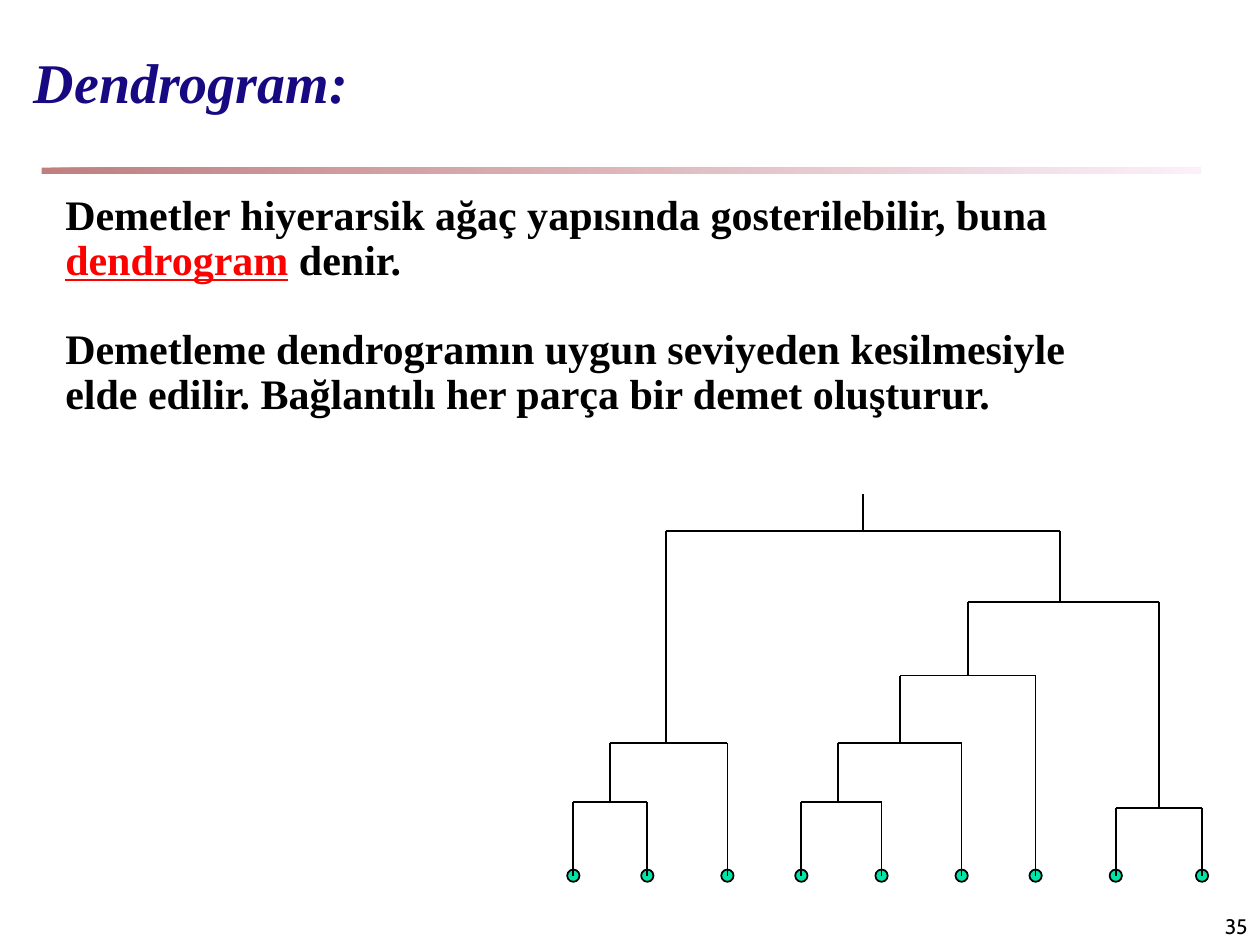
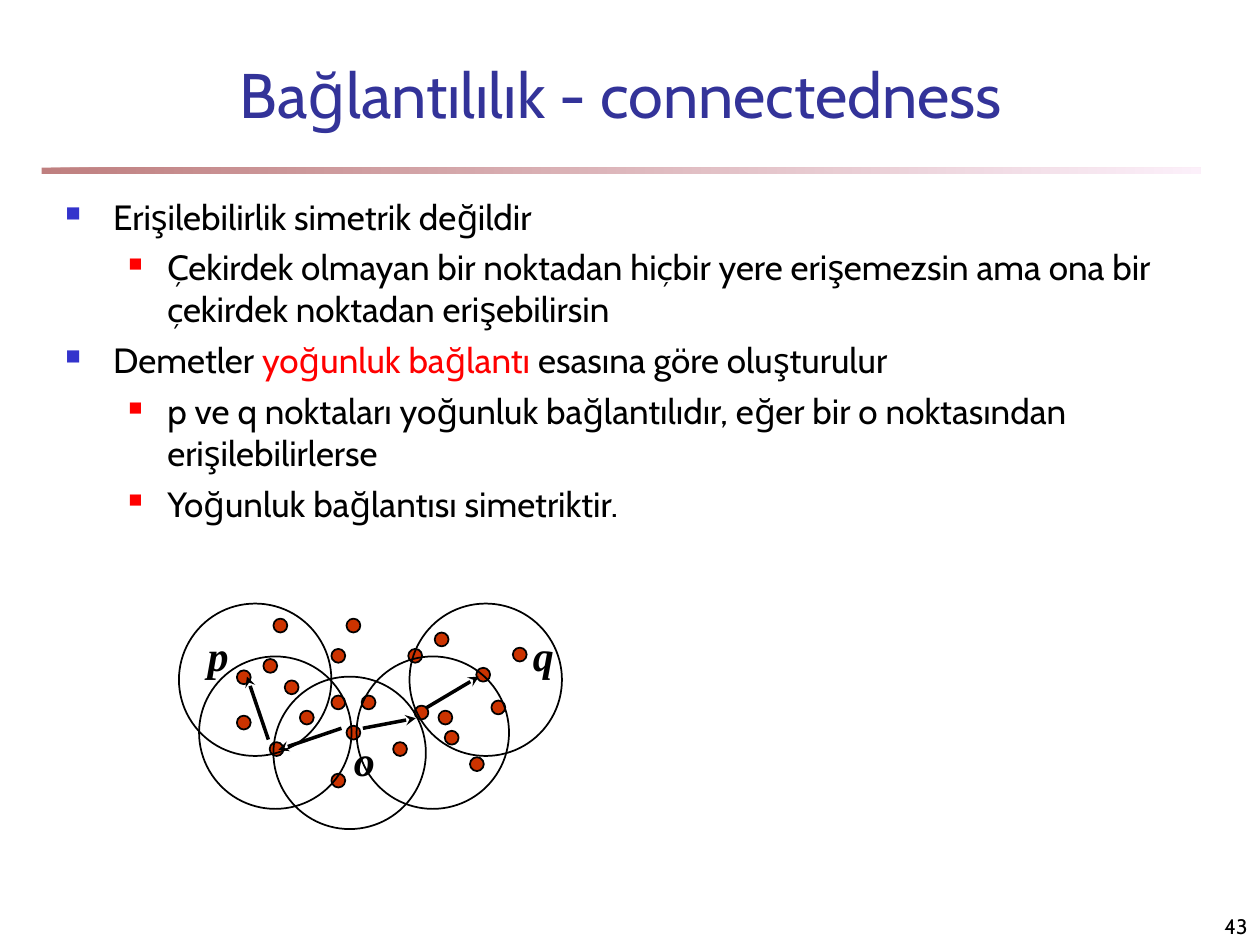
from dataclasses import dataclass

import lxml.etree
import pptx
import pptx.dml.color
import pptx.enum.shapes
import pptx.enum.text
import pptx.oxml.ns
import pptx.util

Inches, Pt = pptx.util.Inches, pptx.util.Pt
MSO = pptx.enum.shapes.MSO_SHAPE
ALIGN = pptx.enum.text.PP_ALIGN
ANCHOR = pptx.enum.text.MSO_ANCHOR


class Theme:
    sans, serif = "Cabin", "Times New Roman"
    black, red = "000000", "FF0000"
    navy, indigo = "170981", "333399"
    bullets = [("3333CC", 60, 0.38, -0.38), ("FF0000", 55, 0.81, -0.31)]
    band = ("800000", "FAE2F6")
    leaf, point = "00E4A8", "CC3300"
    title, heading, large, body, small = 36, 32, 24, 20, 12
    thin, thick = 1, 2


@dataclass
class Grid:
    """A box in inches, divided into columns and rows."""
    x: float
    y: float
    w: float
    h: float
    cols: int
    rows: int

    def at(self, col, row):
        return (Inches(self.x + self.w * col / self.cols),
                Inches(self.y + self.h * row / self.rows))

    def box(self, col, row, cols, rows):
        return (*self.at(col, row), Inches(self.w * cols / self.cols),
                Inches(self.h * rows / self.rows))

    def sub(self, area, cols, rows):
        """The given area of this grid, with a grid of its own."""
        return Grid(*(v / Inches(1) for v in self.box(*area)), cols, rows)


PAGE = Grid(0, 0, 10, 7.5, 100, 75)


def rgb(color):
    return pptx.dml.color.RGBColor.from_string(color)


def add_xml(parent, tag, **attrs):
    return lxml.etree.SubElement(parent, pptx.oxml.ns.qn(tag), attrs)


def add_text_box(sl, box, anchor=ANCHOR.TOP):
    tf = sl.shapes.add_textbox(*box).text_frame
    tf.word_wrap = True
    tf.vertical_anchor = anchor
    return tf


def add_run(p, text, size, color=Theme.black, font=Theme.sans,
            bold=False, italic=False, underline=False):
    r = p.add_run()
    r.text = text
    f = r.font
    f.name, f.size, f.color.rgb = font, Pt(size), rgb(color)
    f.bold, f.italic, f.underline = bold, italic, underline


def next_paragraph(tf, before):
    """The first, empty paragraph of a box, or a new one with space before it."""
    p = tf.paragraphs[0]
    if p.runs:
        p = tf.add_paragraph()
        p.space_before = Pt(before)
    return p


def set_indent(p, left, first=0):
    pPr = p._p.get_or_add_pPr()
    pPr.set("marL", str(Inches(left)))
    pPr.set("indent", str(Inches(first)))
    return pPr


def add_oval(sl, box, fill=None):
    sp = sl.shapes.add_shape(MSO.OVAL, *box)
    sp.shadow.inherit = False
    if fill:
        sp.fill.solid()
        sp.fill.fore_color.rgb = rgb(fill)
    else:
        sp.fill.background()
    sp.line.color.rgb = rgb(Theme.black)
    sp.line.width = Pt(Theme.thin)


def add_line(sl, start, end, width=Theme.thin, arrow=False):
    """A black line; an arrow has its point at the start."""
    cx = sl.shapes.add_connector(pptx.enum.shapes.MSO_CONNECTOR.STRAIGHT, *start, *end)
    cx.line.color.rgb = rgb(Theme.black)
    cx.line.width = Pt(width)
    if arrow:
        add_xml(cx.line._get_or_add_ln(), "a:headEnd", type="stealth")
    add_xml(cx._element.spPr, "a:effectLst")


def new_slide(prs, number):
    """A slide with the band under the title and the page number."""
    sl = prs.slides.add_slide(prs.slide_layouts[6])
    sp = sl.shapes.add_shape(MSO.RECTANGLE, *PAGE.box(3.3, 13.3, 92, 0.5))
    sp.shadow.inherit = False
    sp.line.fill.background()
    sp.fill.gradient()
    sp.fill.gradient_angle = 0
    for stop, color in zip(sp.fill.gradient_stops, Theme.band):
        stop.color.rgb = rgb(color)
    for clr in sp._element.spPr.iter(pptx.oxml.ns.qn("a:srgbClr")):
        add_xml(clr, "a:alpha", val="50000")

    p = add_text_box(sl, PAGE.box(79.2, 70.8, 20.8, 4.2), ANCHOR.BOTTOM).paragraphs[0]
    p.alignment = ALIGN.RIGHT
    add_run(p, str(number), Theme.small)
    return sl


def add_statements(sl, box, statements):
    tf = add_text_box(sl, box)
    for runs in statements:
        p = next_paragraph(tf, before=25)
        p.level = 1
        p.line_spacing = 0.9
        set_indent(p, 0.5)
        for text, style in runs:
            add_run(p, text, Theme.large, font=Theme.serif, bold=True, **style)


def add_bullets(sl, box, items):
    tf = add_text_box(sl, box)
    for level, runs in items:
        color, percent, left, first = Theme.bullets[level]
        p = next_paragraph(tf, before=5)
        p.level = level
        pPr = set_indent(p, left, first)
        add_xml(add_xml(pPr, "a:buClr"), "a:srgbClr", val=color)
        add_xml(pPr, "a:buSzPct", val=str(percent * 1000))
        add_xml(pPr, "a:buChar", char="■")
        for text, style in runs:
            add_run(p, text, Theme.body, **style)


def add_dendrogram(sl, grid, tree):
    """Draw a tree of (height, left, right) merges; a leaf is its column."""
    def leaves(node):
        return [node] if isinstance(node, int) else leaves(node[1]) + leaves(node[2])

    def point(col, height):
        return grid.at(col, grid.rows - height)

    def add_branch(node):
        if isinstance(node, int):
            return node, 0
        height, *children = node
        ends = [add_branch(child) for child in children]
        for col, low in ends:
            add_line(sl, point(col, height), point(col, low))
        left, right = (col for col, _ in ends)
        add_line(sl, point(left, height), point(right, height))
        return (left + right) // 2, height

    dot = 4
    for col in leaves(tree):
        add_oval(sl, grid.box(col - 1, grid.rows - dot / 2, 2, dot), Theme.leaf)
    col, top = add_branch(tree)
    add_line(sl, point(col, grid.rows), point(col, top))


def add_neighbourhoods(sl, grid, points, circles, arrows, labels):
    for col, row in points:
        add_oval(sl, grid.box(col, row, 11, 11), Theme.point)
    for col, row in circles:
        add_oval(sl, grid.box(col, row, 121, 121))
    for tip, start in arrows:
        add_line(sl, grid.at(*tip), grid.at(*start), Theme.thick, arrow=True)
    for text, col, row in labels:
        p = add_text_box(sl, grid.box(col, row, 42, 50)).paragraphs[0]
        add_run(p, text, Theme.large, font=Theme.serif, bold=True, italic=True)


def dendrogram_slide(prs):
    sl = new_slide(prs, 35)
    p = add_text_box(sl, PAGE.box(1.7, 3.3, 98.3, 6.4)).paragraphs[0]
    add_run(p, "Dendrogram:", Theme.heading, Theme.navy, Theme.serif, bold=True, italic=True)

    left_cluster = (43, (24, 0, 12), 25)
    middle_cluster = (65, (43, (24, 37, 50), 63), 75)
    right_cluster = (22, 88, 102)
    tree = (112, left_cluster, (89, middle_cluster, right_cluster))
    add_dendrogram(sl, PAGE.sub((45.5, 39.2, 49.9, 30.3), 102, 124), tree)

    add_statements(sl, PAGE.box(-0.8, 14.9, 90, 19), [
        [("Demetler hiyerarsik ağaç yapısında gosterilebilir, buna ", {}),
         ("dendrogram", {"color": Theme.red, "underline": True}),
         (" denir.", {})],
        [("Demetleme dendrogramın uygun seviyeden kesilmesiyle elde edilir. "
          "Bağlantılı her parça bir demet oluşturur.", {})],
    ])


def connectedness_slide(prs):
    sl = new_slide(prs, 43)
    p = add_text_box(sl, PAGE.box(6.7, 4.2, 85.2, 6.7), ANCHOR.BOTTOM).paragraphs[0]
    p.alignment = ALIGN.CENTER
    add_run(p, "Bağlantılılık - connectedness", Theme.title, Theme.indigo)

    add_bullets(sl, PAGE.box(4.2, 15, 91.7, 55.8), [
        (0, [("Erişilebilirlik simetrik değildir", {})]),
        (1, [("Çekirdek olmayan bir noktadan hiçbir yere erişemezsin ama ona bir "
              "çekirdek noktadan erişebilirsin", {})]),
        (0, [("Demetler ", {}),
             ("yoğunluk bağlantı", {"color": Theme.red}),
             (" esasına göre oluşturulur", {})]),
        (1, [("p ve q noktaları yoğunluk bağlantılıdır, eğer bir o noktasından "
              "erişilebilirlerse", {})]),
        (1, [("Yoğunluk bağlantısı simetriktir.", {})]),
    ])
    add_neighbourhoods(
        sl, PAGE.sub((14.2, 47.9, 30.4, 17.9), 304, 179),
        points=[(84, 61), (121, 73), (121, 36), (72, 110), (96, 85), (121, 135),
                (133, 97), (133, 12), (206, 85), (182, 36), (46, 89), (145, 73),
                (170, 110), (231, 122), (248, 77), (187, 81), (211, 101), (265, 35),
                (203, 23), (236, 51), (67, 44), (46, 53), (75, 12)],
        circles=[(16, 42), (75, 58), (141, 42), (183, 0), (0, 0)],
        arrows=[((79, 116), (129, 99)), ((188, 91), (146, 99)),
                ((54, 58), (71, 108)), ((238, 58), (196, 83))],
        labels=[("p", 13, 16), ("q", 271, 16), ("o", 129, 99)])


def main():
    prs = pptx.Presentation()
    prs.slide_width, prs.slide_height = Inches(PAGE.w), Inches(PAGE.h)
    dendrogram_slide(prs)
    connectedness_slide(prs)
    prs.save("out.pptx")


if __name__ == "__main__":
    main()
